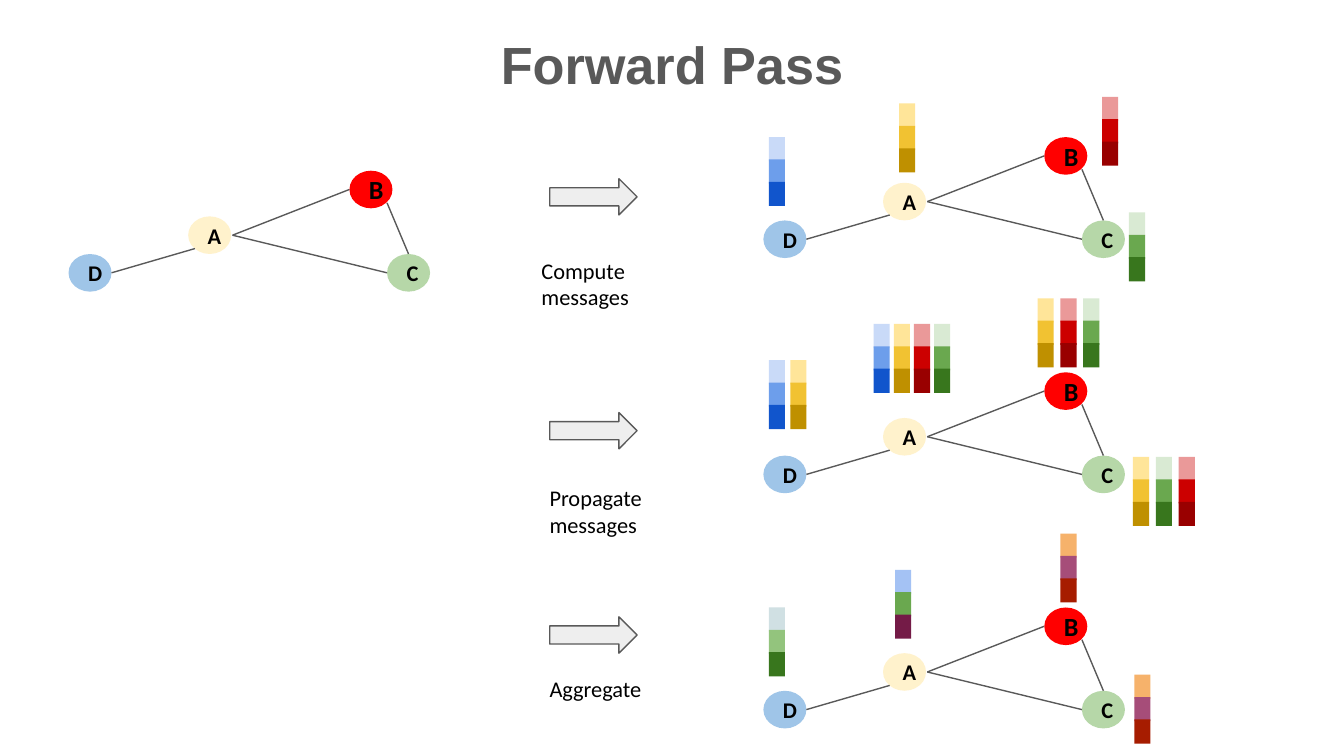
from pptx import Presentation
from pptx.dml.color import RGBColor
from pptx.enum.shapes import MSO_CONNECTOR as Conn, MSO_SHAPE as Shape
from pptx.enum.text import MSO_ANCHOR as Anchor, PP_ALIGN as Align
from pptx.oxml.ns import qn
from pptx.util import Inches, Pt
from lxml import etree

# Content
TITLE = "Forward Pass"
GREY = "595959"

# Graph: places are offsets from the corner of node D
NODES = [
    ("A", 0.89, -0.28, 12, "FFF2CC"),
    ("B", 2.09, -0.62, 14, "FF0000"),
    ("C", 2.37, 0, 12, "B6D7A8"),
    ("D", 0, 0, 12, "9FC5E8"),
]
EDGES = [
    (1.22, -0.14, 2.09, -0.48),  # A to B
    (2.37, -0.38, 2.53, 0),      # B to C
    (1.22, -0.14, 2.37, 0.14),   # A to C
    (0.32, 0.14, 0.94, -0.04),   # D to A
]
GRAPHS = [(0.51, 1.89)] + [(5.68, 1.64 + 1.75 * row) for row in range(3)]

# Steps: arrow top, label, label left, label top
STEPS = [
    (1.33, "Compute messages", 3.93, 1.81),
    (3.07, "Propagate messages", 3.99, 3.5),
    (4.59, "Aggregate", 3.99, 4.92),
]

# Feature vectors: three stacked colours each
VECTORS = {
    "blue": ("C9DAF8", "6D9EEB", "1155CC"),
    "gold": ("FFE599", "F1C232", "BF9000"),
    "red": ("EA9999", "CC0000", "990000"),
    "green": ("D9EAD3", "6AA84F", "38761D"),
    "sum A": ("A4C2F4", "6AA84F", "741B47"),
    "sum BC": ("F6B26B", "A64D79", "A61C00"),
    "sum D": ("D0E0E3", "93C47D", "38761D"),
}
# Rows of vectors: left, top, step across, names
STACKS = [
    # Compute
    (5.72, 1.02, 0, ["blue"]),
    (6.69, 0.77, 0, ["gold"]),
    (8.2, 0.72, 0, ["red"]),
    (8.4, 1.58, 0, ["green"]),
    # Propagate
    (5.72, 2.68, 0.16, ["blue", "gold"]),
    (6.5, 2.41, 0.15, ["blue", "gold", "red", "green"]),
    (7.72, 2.22, 0.17, ["gold", "red", "green"]),
    (8.43, 3.4, 0.17, ["gold", "green", "red"]),
    # Aggregate
    (5.72, 4.52, 0, ["sum D"]),
    (6.66, 4.24, 0, ["sum A"]),
    (7.89, 3.97, 0, ["sum BC"]),
    (8.44, 5.02, 0, ["sum BC"]),
]
NODE_W, NODE_H = 0.32, 0.28
CELL_W, CELL_H, CELL_STEP = 0.12, 0.18, 0.5 / 3


# Helpers
def paint(part, color):
    part.rgb = RGBColor.from_string(color)


def write(box, text, size, align, anchor, color="000000", bold=False,
          face="Calibri", pad=(0.1, 0.1)):
    frame = box.text_frame
    side, edge = map(Inches, pad)
    form = {"word_wrap": True, "vertical_anchor": anchor,
            "margin_left": side, "margin_right": side,
            "margin_top": edge, "margin_bottom": edge}
    for name, value in form.items():
        setattr(frame, name, value)
    para = frame.paragraphs[0]
    para.alignment = align
    run = para.add_run()
    run.text = text
    for name, value in {"size": Pt(size), "bold": bold, "name": face}.items():
        setattr(run.font, name, value)
    paint(run.font.color, color)


def stroke(line):
    line.width = Pt(0.75)
    paint(line.color, GREY)


def add_form(shapes, kind, at, color, lined=False):
    form = shapes.add_shape(kind, *map(Inches, at))
    form.shadow.inherit = False
    form.fill.solid()
    paint(form.fill.fore_color, color)
    if lined:
        stroke(form.line)
    else:
        form.line.fill.background()
    return form


def add_graph(shapes, left, top):
    group = shapes.add_group_shape().shapes
    for name, dx, dy, size, color in NODES:
        node = add_form(group, Shape.OVAL,
                        (left + dx, top + dy, NODE_W, NODE_H), color)
        write(node, name, size, Align.CENTER, Anchor.MIDDLE, bold=True)
    for x1, y1, x2, y2 in EDGES:
        ends = (left + x1, top + y1, left + x2, top + y2)
        edge = group.add_connector(Conn.STRAIGHT, *map(Inches, ends))
        stroke(edge.line)
        etree.SubElement(edge._element.spPr, qn("a:effectLst"))


def add_vector(shapes, left, top, colors):
    group = shapes.add_group_shape().shapes
    for row, color in enumerate(colors):
        add_form(group, Shape.RECTANGLE,
                 (left, top + row * CELL_STEP, CELL_W, CELL_H), color)


def main():
    deck = Presentation()
    # Widescreen, 16 to 9
    deck.slide_width = Inches(10)
    deck.slide_height = Inches(10) * 9 // 16
    slide = deck.slides.add_slide(deck.slide_layouts[5])
    shapes = slide.shapes

    # Title
    title = shapes.title
    place = {"left": 0.5, "top": 0, "width": 9, "height": 0.94}
    for name, value in place.items():
        setattr(title, name, Inches(value))
    write(title, TITLE, 28, Align.CENTER, Anchor.MIDDLE, GREY, True,
          "Arial", (0.07, 0.04))

    # Graphs
    for left, top in GRAPHS:
        add_graph(shapes, left, top)

    # Arrows and labels
    for y, text, left, top in STEPS:
        add_form(shapes, Shape.RIGHT_ARROW, (4.09, y, 0.65, 0.27),
                 "EEEEEE", True)
        label = shapes.add_textbox(*map(Inches, (left, top, 1.05, 0.27)))
        write(label, text, 12, Align.LEFT, Anchor.TOP)

    # Feature vectors
    for left, top, step, names in STACKS:
        for col, name in enumerate(names):
            add_vector(shapes, left + col * step, top, VECTORS[name])

    deck.save("out.pptx")


if __name__ == "__main__":
    main()
